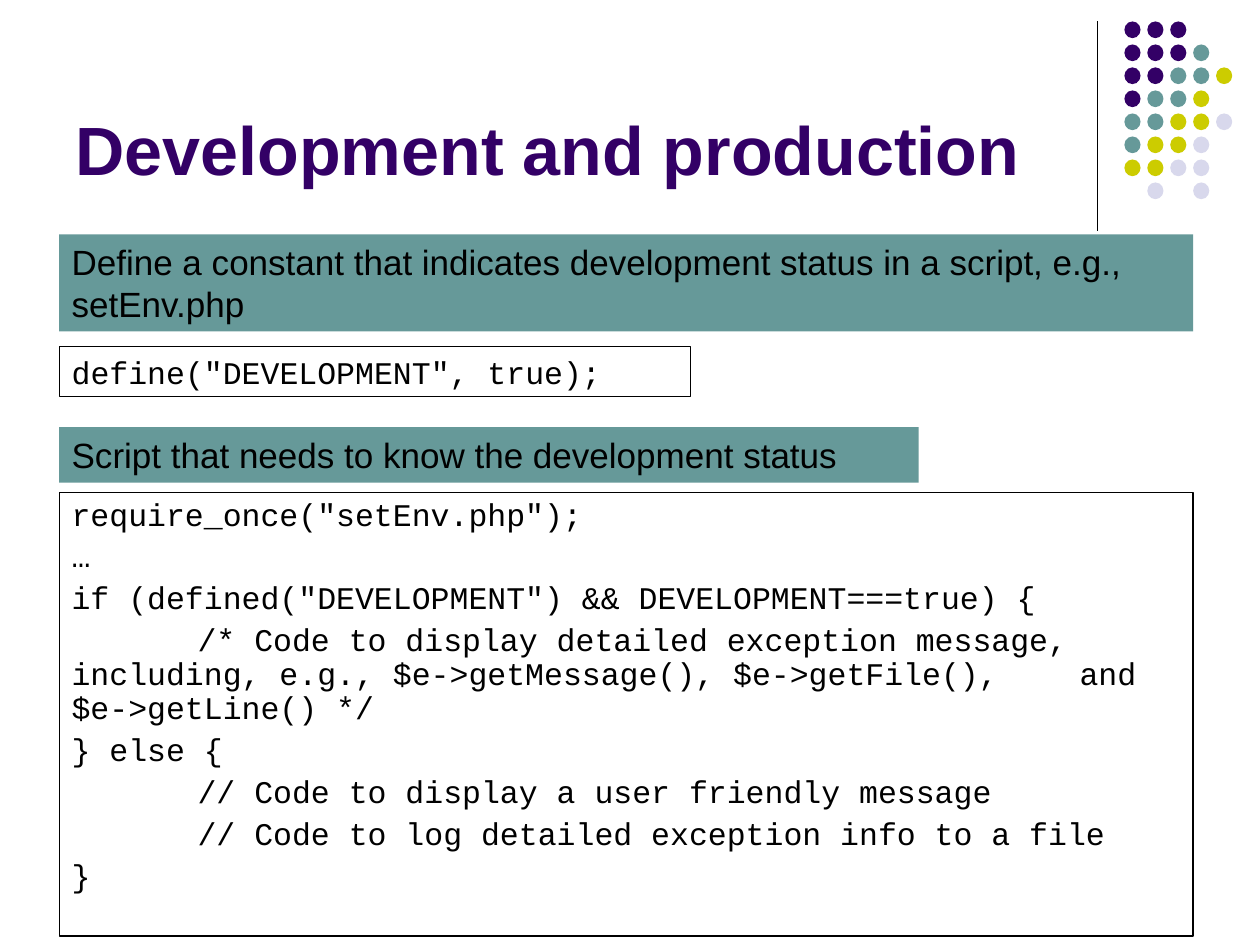
from dataclasses import dataclass

from lxml.etree import SubElement
from pptx import Presentation
from pptx.dml.color import RGBColor as Color
from pptx.enum.shapes import MSO_CONNECTOR as Connector, MSO_SHAPE as Preset
from pptx.enum.text import MSO_ANCHOR as Anchor, MSO_AUTO_SIZE as AutoSize, PP_ALIGN as Align
from pptx.oxml.ns import qn
from pptx.util import Inches, Pt

CELL = Inches(0.1)
COLUMNS, ROWS = 100, 75
TITLE_ONLY = 5


@dataclass(frozen=True)
class Theme:
    """Colours, fonts and type sizes of the slide."""
    purple: str = "330066"
    teal: str = "669999"
    lime: str = "CCCC00"
    lavender: str = "D8D8EC"
    black: str = "000000"
    text_font: str = "Arial"
    code_font: str = "Courier New"
    title_size: int = 39
    caption_size: int = 20
    code_size: int = 18
    hairline: float = 0.75


@dataclass(frozen=True)
class Box:
    """Area measured in grid columns and rows."""
    left: float
    top: float
    width: float
    height: float

    def emu(self):
        """Return left, top, width and height as lengths."""
        return [round(side * CELL) for side in (self.left, self.top, self.width, self.height)]

    def inner(self, left, top, width, height):
        """Return an inner box given as shares of this one."""
        return Box(self.left + left * self.width, self.top + top * self.height,
                   width * self.width, height * self.height)


THEME = Theme()
MARGIN, CONTENT_WIDTH = 4.7, 90
DOT_COLORS = {"P": THEME.purple, "T": THEME.teal, "L": THEME.lime, "V": THEME.lavender}
DOT_ROWS = ["PPP", "PPPT", "PPTTL", "PTTL", "TTLLV", "TLLV", "LLVV", " V V"]
DEFINE_LINES = ['define("DEVELOPMENT", true);']
SCRIPT_LINES = [
    'require_once("setEnv.php");',
    "…",
    'if (defined("DEVELOPMENT") && DEVELOPMENT===true) {',
    "\t/* Code to display detailed exception message, \tincluding, e.g., "
    "$e->getMessage(), $e->getFile(), \tand $e->getLine() */",
    "} else {",
    "\t// Code to display a user friendly message",
    "\t// Code to log detailed exception info to a file",
    "}",
]


def write(shape, lines, *, font, size, color=THEME.black, bold=False,
          anchor=Anchor.TOP, line_spacing=None, space_before=0):
    """Fill a shape with left-aligned paragraphs that have tab stops every inch."""
    frame = shape.text_frame
    frame.word_wrap = True
    frame.auto_size = AutoSize.NONE
    frame.vertical_anchor = anchor
    for index, line in enumerate(lines):
        paragraph = frame.add_paragraph() if index else frame.paragraphs[0]
        paragraph.alignment = Align.LEFT
        paragraph.line_spacing = line_spacing
        paragraph.space_before = Pt(space_before)
        tabs = SubElement(paragraph._p.get_or_add_pPr(), qn("a:tabLst"))
        for inch in range(9):
            SubElement(tabs, qn("a:tab"), pos=str(Inches(inch)), algn="l")
        run = paragraph.add_run()
        run.text = line
        run.font.name, run.font.size, run.font.bold = font, Pt(size), bold
        run.font.color.rgb = Color.from_string(color)


def add_shape(slide, preset, box, fill=None, outline=None):
    """Add a flat preset shape with an optional fill and outline."""
    shape = slide.shapes.add_shape(preset, *box.emu())
    shape.shadow.inherit = False
    if fill:
        shape.fill.solid()
        shape.fill.fore_color.rgb = Color.from_string(fill)
    else:
        shape.fill.background()
    if outline:
        shape.line.color.rgb = Color.from_string(outline)
        shape.line.width = Pt(THEME.hairline)
    else:
        shape.line.fill.background()
    return shape


def add_ornament(slide, box):
    """Draw the vertical rule and the dot pattern to its right."""
    left, top, _, height = box.emu()
    rule = slide.shapes.add_connector(Connector.STRAIGHT, left, top, left, top + height)
    rule.line.color.rgb = Color.from_string(THEME.black)
    rule.line.width = Pt(THEME.hairline)
    SubElement(rule._element.spPr, qn("a:effectLst"))
    for row, pattern in enumerate(DOT_ROWS):
        for column, key in enumerate(pattern):
            if key in DOT_COLORS:
                dot = box.inner(0.2 + column * 0.17, row * 0.11, 0.12, 0.08)
                add_shape(slide, Preset.OVAL, dot, fill=DOT_COLORS[key])


def add_title(slide, box, text):
    """Place and format the title placeholder."""
    title = slide.shapes.title
    title.left, title.top, title.width, title.height = box.emu()
    write(title, [text], font=THEME.text_font, size=THEME.title_size,
          color=THEME.purple, bold=True, anchor=Anchor.BOTTOM)


def add_caption(slide, box, text):
    """Add a teal caption bar."""
    bar = add_shape(slide, Preset.RECTANGLE, box, fill=THEME.teal)
    write(bar, [text], font=THEME.text_font, size=THEME.caption_size)


def add_code(slide, box, lines, **text_format):
    """Add an outlined code panel."""
    panel = add_shape(slide, Preset.RECTANGLE, box, outline=THEME.black)
    write(panel, lines, font=THEME.code_font, size=THEME.code_size, **text_format)


def main():
    """Build and save the slide."""
    presentation = Presentation()
    presentation.slide_width, presentation.slide_height = COLUMNS * CELL, ROWS * CELL
    slide = presentation.slides.add_slide(presentation.slide_layouts[TITLE_ONLY])
    add_ornament(slide, Box(87.1, 1.7, 10.7, 16.6))
    add_title(slide, Box(5, 1.3, 82.5, 14.2), "Development and production")
    add_code(slide, Box(MARGIN, 39.1, CONTENT_WIDTH, 35.2), SCRIPT_LINES,
             line_spacing=0.9, space_before=4.5)
    add_code(slide, Box(MARGIN, 27.5, 50.1, 4), DEFINE_LINES, anchor=Anchor.MIDDLE)
    add_caption(slide, Box(MARGIN, 18.6, CONTENT_WIDTH, 7.7),
                "Define a constant that indicates development status in a script, e.g., setEnv.php")
    add_caption(slide, Box(MARGIN, 33.9, 68.2, 4.4),
                "Script that needs to know the development status")
    presentation.save("out.pptx")


if __name__ == "__main__":
    main()
